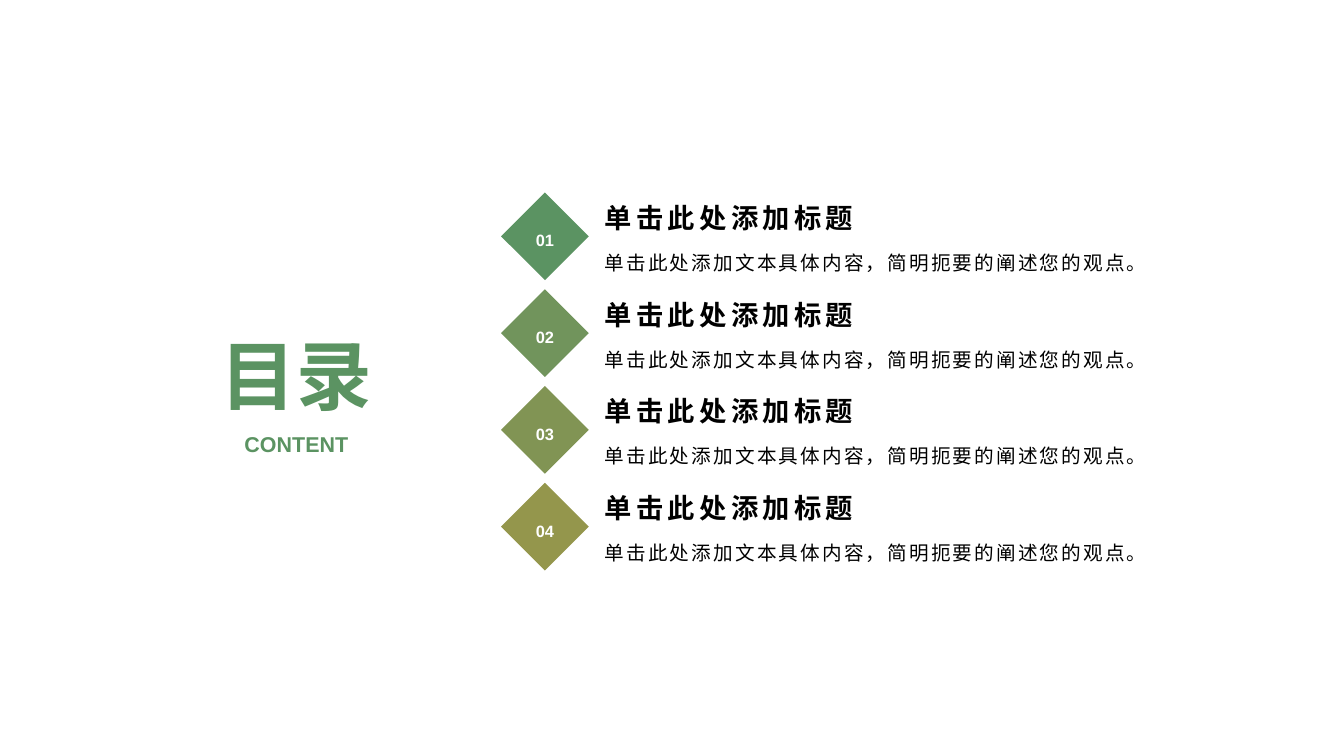
import pptx
import pptx.dml.color
import pptx.enum.lang
import pptx.enum.shapes
import pptx.enum.text
import pptx.util
from pptx.util import Inches

FONT = "Arial"
GREEN = "5B9362"
BLACK = "000000"
WHITE = "FFFFFF"
DIAMOND_COLORS = [GREEN, "71945C", "819454", "94964C"]
ENTRY_TITLE = "单击此处添加标题"
ENTRY_DETAIL = "单击此处添加文本具体内容，简明扼要的阐述您的观点。"

FIRST_ROW_TOP = 1.91
ROW_PITCH = 0.96
DIAMOND_LEFT = 4.97
DIAMOND_SIZE = 0.87
TEXT_LEFT = 5.9

ANCHOR = pptx.enum.text.MSO_ANCHOR
ALIGN = pptx.enum.text.PP_ALIGN


def color(value):
    return pptx.dml.color.RGBColor.from_string(value)


def write(shape, text, size, text_color, bold=True, align=ALIGN.LEFT,
          anchor=ANCHOR.TOP, line_spacing=1.2, letter_spacing=0,
          inset_top=0.05, inset_bottom=0.05):
    """Put one formatted paragraph into a shape; letter spacing is in points."""
    frame = shape.text_frame
    frame.text = text
    frame.word_wrap = True
    frame.auto_size = pptx.enum.text.MSO_AUTO_SIZE.NONE
    frame.vertical_anchor = anchor
    frame.margin_left = frame.margin_right = Inches(0.1)
    frame.margin_top = Inches(inset_top)
    frame.margin_bottom = Inches(inset_bottom)
    paragraph = frame.paragraphs[0]
    paragraph.alignment = align
    paragraph.line_spacing = line_spacing
    for run in paragraph.runs:
        run.font.name = FONT
        run.font.size = pptx.util.Pt(size)
        run.font.bold = bold
        run.font.color.rgb = color(text_color)
        run.font.language_id = pptx.enum.lang.MSO_LANGUAGE_ID.SIMPLIFIED_CHINESE
        if letter_spacing:
            run.font._element.set("spc", str(round(letter_spacing * 100)))


def add_text(slide, left, top, width, height, text, size, text_color, **style):
    box = slide.shapes.add_textbox(Inches(left), Inches(top), Inches(width), Inches(height))
    write(box, text, size, text_color, **style)


def add_number_diamond(slide, top, number, fill):
    diamond = slide.shapes.add_shape(
        pptx.enum.shapes.MSO_SHAPE.DIAMOND, Inches(DIAMOND_LEFT), Inches(top),
        Inches(DIAMOND_SIZE), Inches(DIAMOND_SIZE))
    diamond.shadow.inherit = False
    diamond.fill.solid()
    diamond.fill.fore_color.rgb = color(fill)
    diamond.line.fill.background()
    write(diamond, f"{number:02d}", 11.7, WHITE, align=ALIGN.CENTER,
          anchor=ANCHOR.MIDDLE, line_spacing=1.4)


def add_entry(slide, number, fill):
    top = FIRST_ROW_TOP + (number - 1) * ROW_PITCH
    add_number_diamond(slide, top, number, fill)
    add_text(slide, TEXT_LEFT, top - 0.02, 3.78, 0.43, ENTRY_TITLE, 19.5, BLACK,
             anchor=ANCHOR.BOTTOM, letter_spacing=3, inset_bottom=0)
    add_text(slide, TEXT_LEFT, top + 0.5, 5.44, 0.39, ENTRY_DETAIL, 14, BLACK,
             bold=False, anchor=ANCHOR.MIDDLE, letter_spacing=1.5, inset_top=0)


def add_heading(slide):
    title = slide.shapes.title
    title.left, title.top = Inches(1.99), Inches(3.03)
    title.width, title.height = Inches(1.9), Inches(1.13)
    write(title, "目录", 54, GREEN, align=ALIGN.CENTER)
    add_text(slide, 1.99, 4.15, 1.9, 0.4, "CONTENT", 15.3, GREEN,
             align=ALIGN.CENTER, line_spacing=1.3)


def main():
    presentation = pptx.Presentation()
    presentation.slide_width = Inches(13.33)
    presentation.slide_height = Inches(7.5)
    title_only = presentation.slide_layouts.get_by_name("Title Only")
    slide = presentation.slides.add_slide(title_only)
    add_heading(slide)
    for number, fill in enumerate(DIAMOND_COLORS, start=1):
        add_entry(slide, number, fill)
    presentation.save("out.pptx")


if __name__ == "__main__":
    main()
